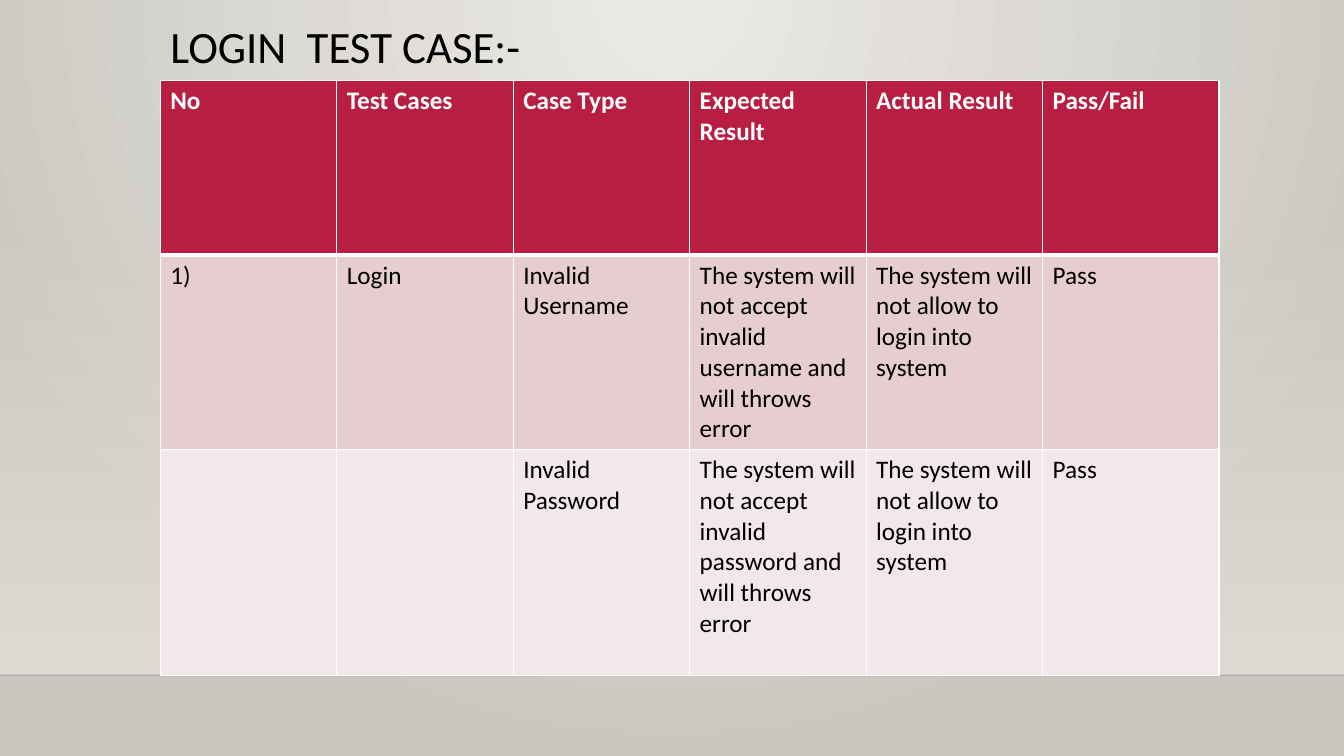
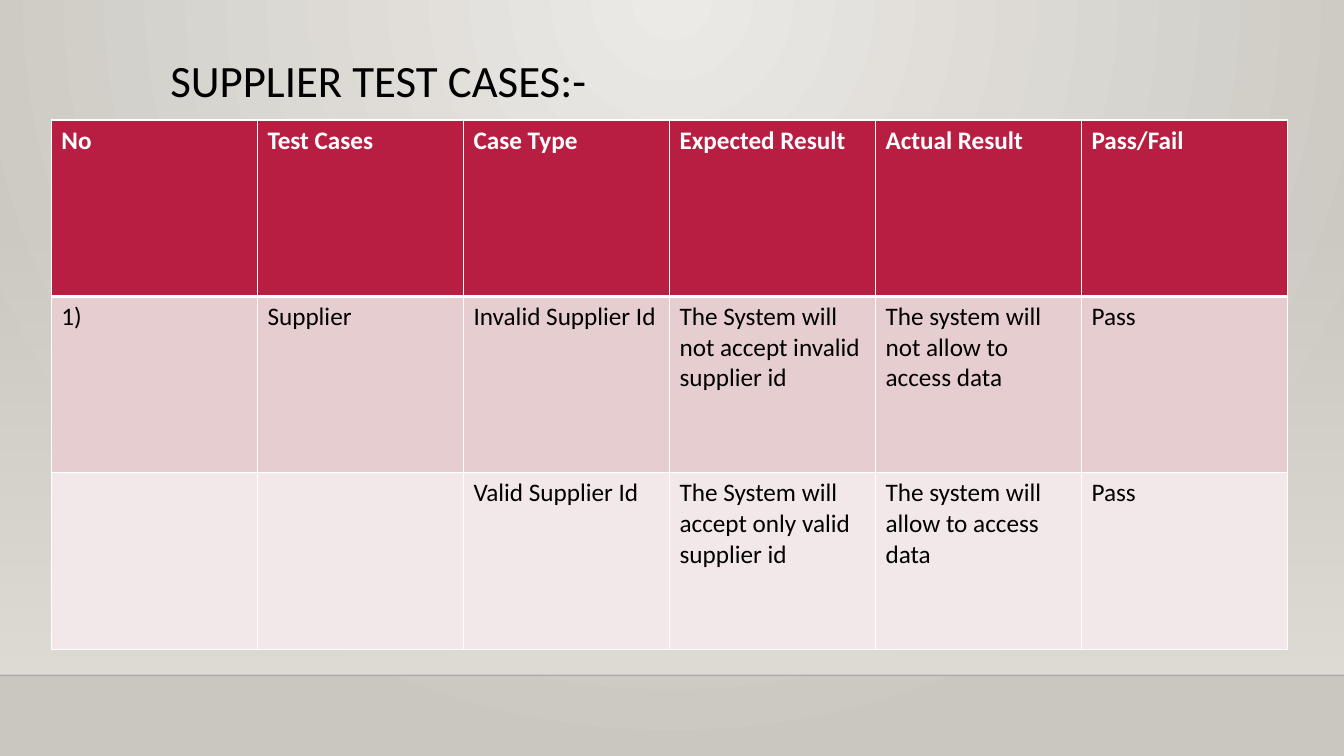
"""Build two slides of test case tables on a shared stone backdrop."""
from lxml.etree import SubElement
from pptx import Presentation
from pptx.dml.color import RGBColor
from pptx.enum.shapes import MSO_CONNECTOR, MSO_SHAPE
from pptx.enum.text import MSO_ANCHOR, MSO_AUTO_SIZE, PP_ALIGN
from pptx.oxml.ns import qn
from pptx.util import Inches, Pt

FONT = "Calibri"
RED = RGBColor(0xB7, 0x1E, 0x42)
ROSE = RGBColor(0xE6, 0xCD, 0xCF)
BLUSH = RGBColor(0xF3, 0xE8, 0xE9)
WHITE = RGBColor(0xFF, 0xFF, 0xFF)
BLACK = RGBColor(0x00, 0x00, 0x00)
PALE = RGBColor(0xEC, 0xEA, 0xE7)
STONE = RGBColor(0xCA, 0xC7, 0xC1)
SAND = RGBColor(0xDF, 0xDB, 0xD5)
WIDTH, HEIGHT = 13.33, 7.5
FLOOR = 6.7

HEADS = ("No", "Test Cases", "Case Type", "Expected Result", "Actual Result", "Pass/Fail")
DENIED = "The system will not allow to login into system"
SLIDES = [
    {
        "title": "LOGIN  TEST CASE:-",
        "box": (1.59, 0.2, 10.5, 0.74),
        "spot": (1.59, 0.8),
        "span": 10.5,
        "rows": (1.73, 1.93, 2.24),
        "cases": [
            ("1)", "Login", "Invalid Username",
             "The system will not accept invalid username and will throws error", DENIED, "Pass"),
            ("", "", "Invalid Password",
             "The system will not accept invalid password and will throws error", DENIED, "Pass"),
        ],
    },
    {
        "title": "SUPPLIER TEST CASES:-",
        "box": (1.59, 0.53, 10.5, 0.87),
        "spot": (0.51, 1.19),
        "span": 12.26,
        "rows": (1.75, 1.75, 1.75),
        "cases": [
            ("1)", "Supplier", "Invalid Supplier Id",
             "The System will not accept invalid supplier id",
             "The system will not allow to access data", "Pass"),
            ("", "", "Valid Supplier Id",
             "The System will accept only valid supplier id",
             "The system will allow to access data", "Pass"),
        ],
    },
]


def write(frame, text, size=18, color=BLACK, bold=False, spacing=1.0):
    para = frame.paragraphs[0]
    para.alignment = PP_ALIGN.LEFT
    para.line_spacing = spacing
    run = para.add_run()
    run.text = text
    run.font.name = FONT
    run.font.size = Pt(size)
    run.font.bold = bold
    run.font.color.rgb = color


def blend(fill, first, last):
    fill.gradient()
    for stop, color, place in zip(fill.gradient_stops, (first, last), (0, 1)):
        stop.color.rgb = color
        stop.position = place


def fade(node, percent):
    SubElement(node, qn("a:alpha"), val=str(percent * 1000))


def dress(layout, slide):
    blend(layout.background.fill, PALE, STONE)
    grad = layout.element.find(".//" + qn("a:gradFill"))
    grad.remove(grad.find(qn("a:lin")))
    glow = SubElement(grad, qn("a:path"), {"path": "circle"})
    SubElement(glow, qn("a:fillToRect"), l="43000", t="0", r="43000", b="100000")

    top = 2.21
    wall = slide.shapes.add_shape(
        MSO_SHAPE.RECTANGLE, 0, Inches(top), Inches(WIDTH), Inches(FLOOR - top))
    wall.shadow.inherit = False
    wall.line.fill.background()
    blend(wall.fill, SAND, SAND)
    wall.fill.gradient_angle = 270
    fade(wall.element.find(".//" + qn("a:srgbClr")), 0)

    edge = slide.shapes.add_connector(
        MSO_CONNECTOR.STRAIGHT, 0, Inches(FLOOR), Inches(WIDTH), Inches(FLOOR))
    edge.line.width = Pt(1)
    edge.line.color.rgb = BLACK
    fade(edge.element.find(".//" + qn("a:srgbClr")), 20)
    SubElement(edge.element.spPr, qn("a:effectLst"))

    for index, part in enumerate((wall, edge), 2):
        layout.shapes.element.insert(index, part.element)


def rule(cell, **widths):
    props = cell._tc.get_or_add_tcPr()
    for side, width in widths.items():
        line = SubElement(props, qn("a:ln" + side), w=str(Pt(width)))
        fill = SubElement(line, qn("a:solidFill"))
        SubElement(fill, qn("a:srgbClr"), val=str(WHITE))


def head(slide, text, box):
    title = slide.shapes.title
    title.left, title.top, title.width, title.height = map(Inches, box)
    frame = title.text_frame
    frame.word_wrap = True
    frame.auto_size = MSO_AUTO_SIZE.NONE
    frame.vertical_anchor = MSO_ANCHOR.TOP
    write(frame, text, size=32, spacing=0.9)


def chart(slide, spot, span, heights, cases):
    grid = [HEADS, *cases]
    left, top = map(Inches, spot)
    table = slide.shapes.add_table(
        len(grid), len(HEADS), left, top, Inches(span), Inches(sum(heights))).table
    for col in table.columns:
        col.width = Inches(span / len(HEADS))
    for r, (texts, tint) in enumerate(zip(grid, (RED, ROSE, BLUSH))):
        table.rows[r].height = Inches(heights[r])
        first = r == 0
        for c, text in enumerate(texts):
            cell = table.cell(r, c)
            rule(cell, L=1, R=1, T=3 if r == 1 else 1, B=3 if first else 1)
            cell.fill.solid()
            cell.fill.fore_color.rgb = tint
            if text:
                write(cell.text_frame, text, color=WHITE if first else BLACK, bold=first)


def main():
    deck = Presentation()
    deck.slide_width, deck.slide_height = Inches(WIDTH), Inches(HEIGHT)
    layout = deck.slide_layouts[5]
    for index, page in enumerate(SLIDES):
        slide = deck.slides.add_slide(layout)
        if index == 0:
            dress(layout, slide)
        head(slide, page["title"], page["box"])
        chart(slide, page["spot"], page["span"], page["rows"], page["cases"])
    deck.save("out.pptx")


if __name__ == "__main__":
    main()
